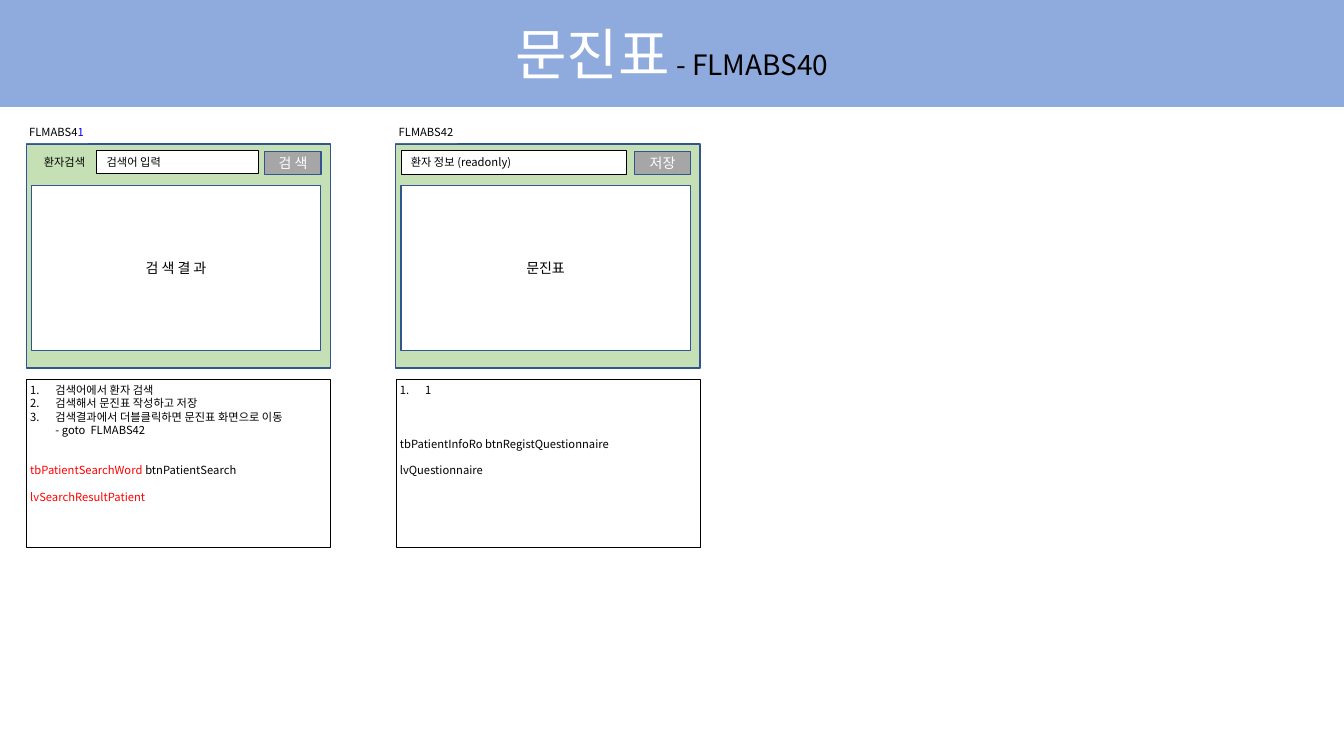
from pptx import Presentation
from pptx import util as u
from pptx.dml.color import RGBColor
from pptx.enum import shapes, text
from pptx.oxml.ns import qn
from lxml import etree

C = {"band": "8FAADC", "panel": "C5E0B4", "edge": "325491", "button": "A6A6A6",
     "white": "FFFFFF", "black": "000000", "red": "FF0000", "blue": "0000FF"}
FONT = "Noto Sans CJK KR"
MID, LEFT = text.PP_ALIGN.CENTER, text.PP_ALIGN.LEFT

prs = Presentation()
prs.slide_width, prs.slide_height = u.Inches(13.33), u.Inches(7.5)
W, H = prs.slide_width / 100, prs.slide_height / 100
s = prs.slides.add_slide(prs.slide_layouts[6])


def add_runs(p, runs, size):
    for words, color in runs:
        for i, line in enumerate(words.split("\n")):
            if i:
                p.add_line_break()
            r = p.add_run()
            r.text = line
            for key, value in {"name": FONT, "size": u.Pt(size)}.items():
                setattr(r.font, key, value)
            r.font.color.rgb = RGBColor.from_string(C[color])
            etree.SubElement(r.font._element, qn("a:ea")).set("typeface", FONT)


def add_box(x, y, w, h, fill=None, line=None, weight=1, runs=(), size=8, align=MID, inset=None):
    sp = s.shapes.add_shape(shapes.MSO_SHAPE.RECTANGLE, *map(round, (x * W, y * H, w * W, h * H)))
    sp.shadow.inherit = False
    for part, color in ((sp.fill, fill), (sp.line.fill, line)):
        if color:
            part.solid()
            part.fore_color.rgb = RGBColor.from_string(C[color])
        else:
            part.background()
    if line:
        sp.line.width = u.Pt(weight)
    tf = sp.text_frame
    fmt = {"word_wrap": True, "vertical_anchor": text.MSO_ANCHOR.MIDDLE}
    if inset is not None:
        fmt.update({f"margin_{side}": u.Inches(inset) for side in ("left", "top", "right", "bottom")})
    for key, value in fmt.items():
        setattr(tf, key, value)
    tf.paragraphs[0].alignment = align
    add_runs(tf.paragraphs[0], runs, size)
    return sp


title = add_box(0, 0, 100, 14.13, "band", runs=[("문진표", "white")], size=40)
add_runs(title.text_frame.paragraphs[0], [(" - FLMABS40", "black")], 20)

screens = [
    {"code": [("FLMABS4", "black"), ("1", "blue")], "list": "검 색 결 과", "button": "검 색",
     "field": "검색어 입력", "field_x": 7.2, "field_w": 12, "field_h": 3.07, "caption": "환자검색",
     "steps": ["검색어에서 환자 검색", "검색해서 문진표 작성하고 저장",
               "검색결과에서 더블클릭하면 문진표 화면으로 이동\n- goto  FLMABS42"],
     "controls": [(2, [("tbPatientSearchWord ", "red"), ("btnPatientSearch", "black")]),
                  (1, [("lvSearchResultPatient", "red")])]},
    {"code": [("FLMABS42", "black")], "list": "문진표", "button": "저장",
     "field": "환자 정보 (readonly)", "field_x": 2.33, "field_w": 16.8, "field_h": 3.2, "caption": None,
     "steps": ["1"],
     "controls": [(3, [("tbPatientInfoRo btnRegistQuestionnaire", "black")]),
                  (1, [("lvQuestionnaire", "black")])]},
]
PITCH, ROW = 27.5, 9.6

for col, screen in enumerate(screens):
    x = col * PITCH
    add_box(x + 1.95, 19.07, 22.65, 29.6, "panel", "edge")
    add_box(x + 2.33, 24.53, 21.53, 21.87, "white", "edge", runs=[(screen["list"], "black")], size=10)
    add_box(x + 1.88, 16, 4.65, 2.93, "white", runs=screen["code"], inset=0)
    add_box(x + screen["field_x"], 19.87, screen["field_w"], screen["field_h"], "white", "black", 0.5,
            [(screen["field"], "black")], align=LEFT)
    add_box(x + 19.7, 20, 4.2, 3.07, "button", "edge", runs=[(screen["button"], "white")], size=10)
    if screen["caption"]:
        add_box(x + 2.33, 19.87, 4.95, 3.07, runs=[(screen["caption"], "black")])

    tf = add_box(x + 1.95, 50.13, 22.65, 22.27, None, "black", 0.25, inset=0.04).text_frame
    tf.vertical_anchor = text.MSO_ANCHOR.TOP
    notes = [(0, [(step, "black")], True) for step in screen["steps"]]
    notes += [(gap, runs, False) for gap, runs in screen["controls"]]
    for i, (gap, runs, numbered) in enumerate(notes):
        p = tf.add_paragraph() if i else tf.paragraphs[0]
        for key, value in {"alignment": LEFT, "line_spacing": u.Pt(ROW),
                           "space_before": u.Pt(gap * ROW)}.items():
            setattr(p, key, value)
        if numbered:
            pPr = p._p.get_or_add_pPr()
            pPr.set("marL", str(u.Inches(0.25)))
            pPr.set("indent", str(-u.Inches(0.25)))
            etree.SubElement(pPr, qn("a:buAutoNum")).set("type", "arabicPeriod")
        add_runs(p, runs, 8)

prs.save("out.pptx")
